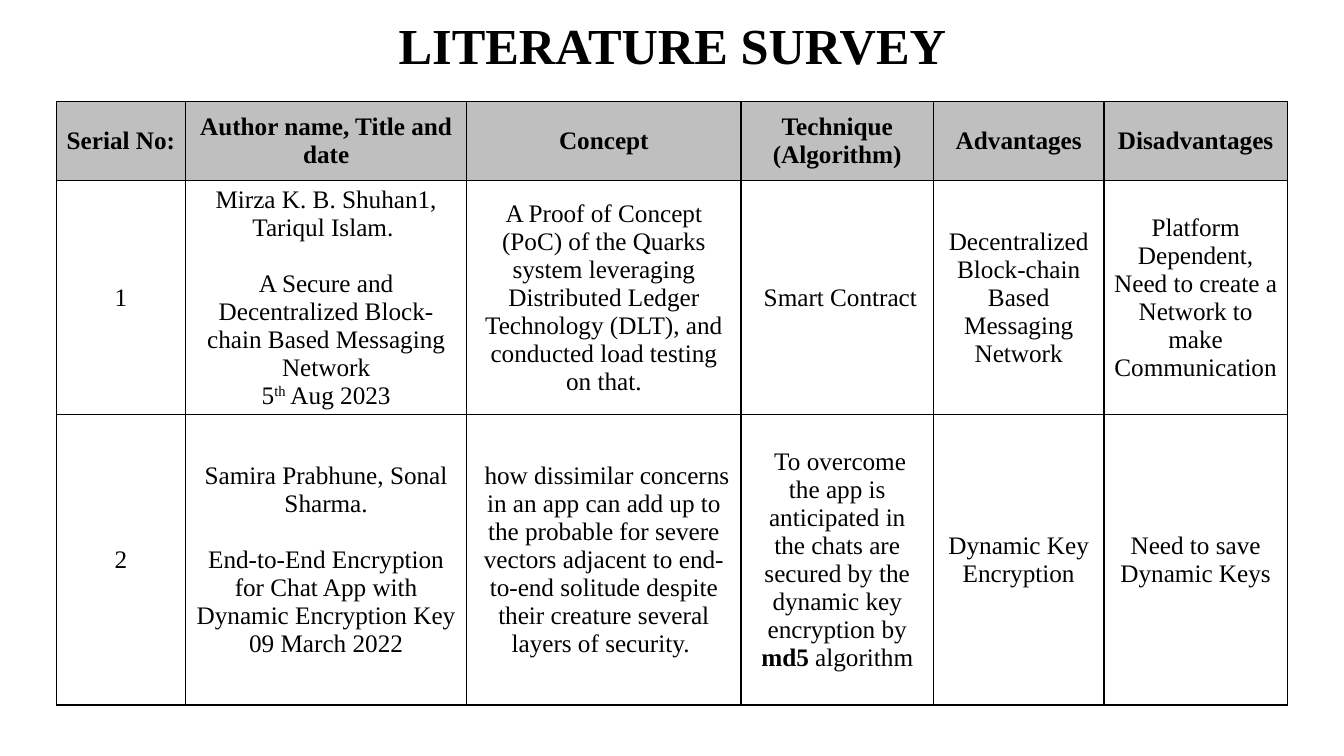
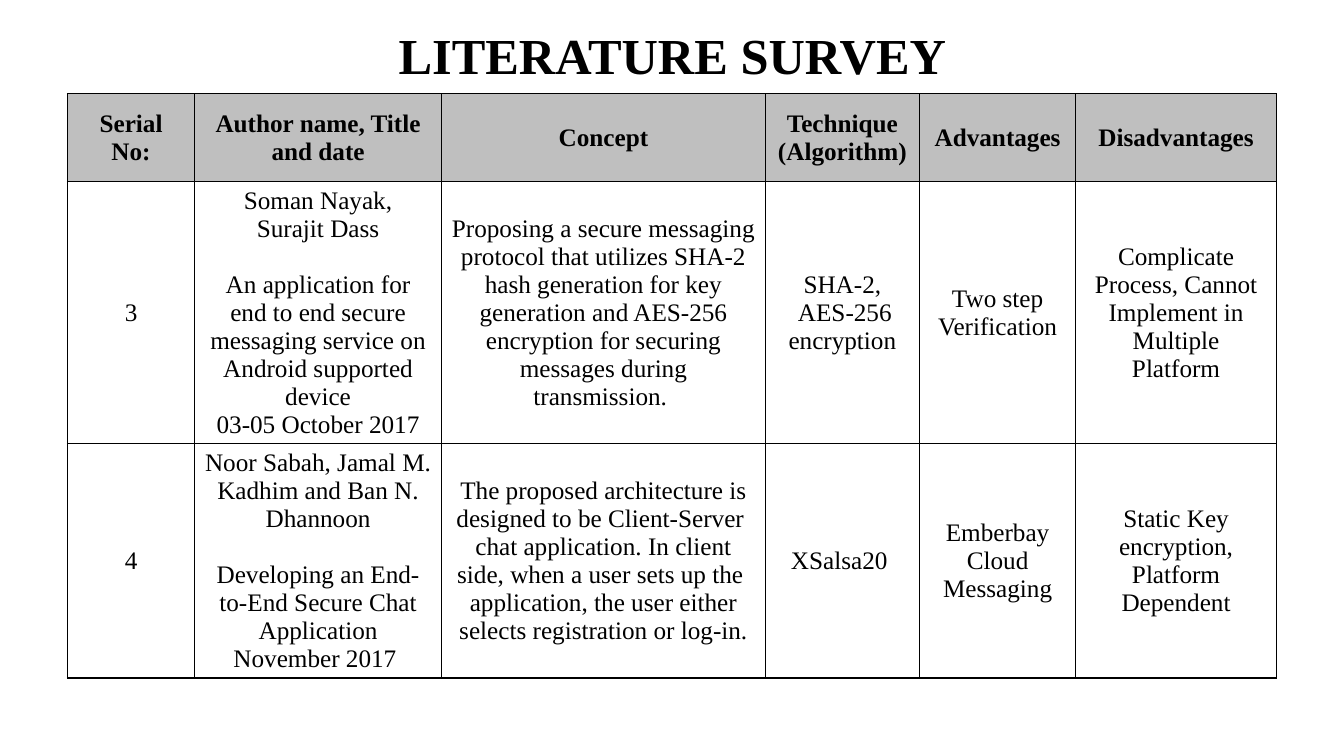
from dataclasses import dataclass
from typing import NamedTuple

from lxml.etree import SubElement
from pptx import Presentation
from pptx.dml.color import RGBColor
from pptx.enum.text import MSO_ANCHOR as Anchor, PP_ALIGN as Align
from pptx.oxml.ns import qn
from pptx.util import Inches, Pt

FONT = "Times New Roman"
BLACK = "000000"
HEADER_GREY = "BFBFBF"
TITLE = "LITERATURE SURVEY"
TITLE_SIZE = 36
BODY_SIZE = 18
BODY_PITCH = 20
BORDER_WIDTH = 1
BLANK_LAYOUT = 6


class Span(NamedTuple):
    text: str
    bold: bool = False
    superscript: bool = False


class Line(NamedTuple):
    spans: list[Span]
    gap_before: int = 0


Cell = list[Line]


@dataclass
class Paper:
    serial: str
    reference: Cell
    concept: Cell
    technique: Cell
    advantages: Cell
    disadvantages: Cell

    def cells(self) -> list[Cell]:
        return [plain(self.serial), self.reference, self.concept,
                self.technique, self.advantages, self.disadvantages]


@dataclass
class Survey:
    title_top: float
    left: float
    top: float
    columns: list[float]
    rows: list[float]
    papers: list[Paper]


def plain(*texts: str, bold: bool = False) -> Cell:
    return [Line([Span(text, bold)]) for text in texts]


def reference(authors: list[str], title: str, date: list[Span]) -> Cell:
    """Authors, then the title set apart by one line, then the date."""
    return plain(*authors) + [Line([Span(title)], BODY_PITCH), Line(date)]


HEADER = [plain(label, bold=True) for label in (
    "Serial No:", "Author name, Title and date", "Concept",
    "Technique (Algorithm)", "Advantages", "Disadvantages")]

SURVEYS = [
    Survey(0.07, 0.56, 1.01, [1.28, 2.79, 2.72, 1.91, 1.69, 1.82], [0.78, 2.31, 2.88], [
        Paper(
            "1",
            reference(
                ["Mirza K. B. Shuhan1, Tariqul Islam. "],
                "A Secure and Decentralized Block-chain Based Messaging Network",
                [Span("5"), Span("th", superscript=True), Span(" Aug 2023")]),
            plain("A Proof of Concept (PoC) of the Quarks system leveraging Distributed "
                  "Ledger Technology (DLT), and conducted load testing on that."),
            plain(" Smart Contract"),
            plain("Decentralized", "Block-chain Based Messaging Network"),
            plain("Platform Dependent,", "Need to create a Network to make Communication")),
        Paper(
            "2",
            reference(
                ["Samira Prabhune, Sonal Sharma."],
                "End-to-End Encryption for Chat App with Dynamic Encryption Key",
                [Span("09 March 2022")]),
            plain(" how dissimilar concerns in an app can add up to the probable for severe "
                  "vectors adjacent to end-to-end solitude despite their creature several "
                  "layers of security. "),
            [Line([Span(" To overcome the app is anticipated in the chats are secured by the "
                        "dynamic key encryption by "),
                   Span("md5", bold=True), Span(" algorithm")])],
            plain("Dynamic Key Encryption"),
            plain("Need to save Dynamic Keys")),
    ]),
    Survey(0.17, 0.67, 0.93, [1.26, 2.45, 3.21, 1.53, 1.55, 1.99], [0.87, 2.59, 2.31], [
        Paper(
            "3",
            reference(
                ["Soman Nayak,", "Surajit Dass"],
                "An application for end to end secure messaging service on "
                "Android supported device",
                [Span("03-05 October 2017")]),
            plain("Proposing a secure messaging protocol that utilizes SHA-2 hash generation "
                  "for key generation and AES-256 encryption for securing messages during "
                  "transmission. "),
            plain("SHA-2,", " AES-256 encryption"),
            plain("Two step Verification"),
            plain("Complicate Process, Cannot Implement in Multiple Platform")),
        Paper(
            "4",
            reference(
                ["Noor Sabah, Jamal M. Kadhim and Ban N. Dhannoon"],
                "Developing an End-to-End Secure Chat Application",
                [Span("November 2017 ")]),
            plain("The proposed architecture is designed to be Client-Server ",
                  "chat application. In client side, when a user sets up the ",
                  "application, the user either selects registration or log-in."),
            plain("XSalsa20 "),
            plain("Emberbay Cloud Messaging"),
            plain("Static Key encryption,", "Platform Dependent")),
    ]),
]


def color(value: str) -> RGBColor:
    return RGBColor.from_string(value)


def write(frame, lines: Cell, size: int, pitch: int | None = None) -> None:
    """Write centred lines; pitch is the exact line spacing in points."""
    for index, line in enumerate(lines):
        paragraph = frame.add_paragraph() if index else frame.paragraphs[0]
        paragraph.alignment = Align.CENTER
        if pitch:
            paragraph.line_spacing = Pt(pitch)
        if line.gap_before:
            paragraph.space_before = Pt(line.gap_before)
        for span in line.spans:
            run = paragraph.add_run()
            run.text = span.text
            run.font.name = FONT
            run.font.size = Pt(size)
            run.font.bold = span.bold
            run.font.color.rgb = color(BLACK)
            if span.superscript:
                run.font._element.set("baseline", "30000")


def add_borders(cell) -> None:
    properties = cell._tc.get_or_add_tcPr()
    for side in ("a:lnL", "a:lnR", "a:lnT", "a:lnB"):
        border = SubElement(properties, qn(side), w=str(Pt(BORDER_WIDTH)))
        fill = SubElement(border, qn("a:solidFill"))
        SubElement(fill, qn("a:srgbClr"), val=BLACK)


def add_title(slide, top: float) -> None:
    frame = slide.shapes.add_textbox(
        Inches(0.67), Inches(top), Inches(12), Inches(0.74)).text_frame
    frame.word_wrap = True
    frame.vertical_anchor = Anchor.MIDDLE
    write(frame, plain(TITLE, bold=True), TITLE_SIZE)


def add_survey_table(slide, survey: Survey) -> None:
    table = slide.shapes.add_table(
        len(survey.rows), len(survey.columns), Inches(survey.left), Inches(survey.top),
        Inches(sum(survey.columns)), Inches(sum(survey.rows))).table
    table.horz_banding = False
    for column, width in zip(table.columns, survey.columns):
        column.width = Inches(width)
    contents = [HEADER] + [paper.cells() for paper in survey.papers]
    for index, (row, height, texts) in enumerate(zip(table.rows, survey.rows, contents)):
        row.height = Inches(height)
        for cell, lines in zip(row.cells, texts):
            add_borders(cell)
            if index == 0:
                cell.fill.solid()
                cell.fill.fore_color.rgb = color(HEADER_GREY)
            else:
                cell.fill.background()
            write(cell.text_frame, lines, BODY_SIZE, BODY_PITCH)
            cell.vertical_anchor = Anchor.MIDDLE


def main() -> None:
    deck = Presentation()
    deck.slide_width = Inches(13.33)
    deck.slide_height = Inches(7.5)
    for survey in SURVEYS:
        slide = deck.slides.add_slide(deck.slide_layouts[BLANK_LAYOUT])
        add_title(slide, survey.title_top)
        add_survey_table(slide, survey)
    deck.save("out.pptx")


if __name__ == "__main__":
    main()
